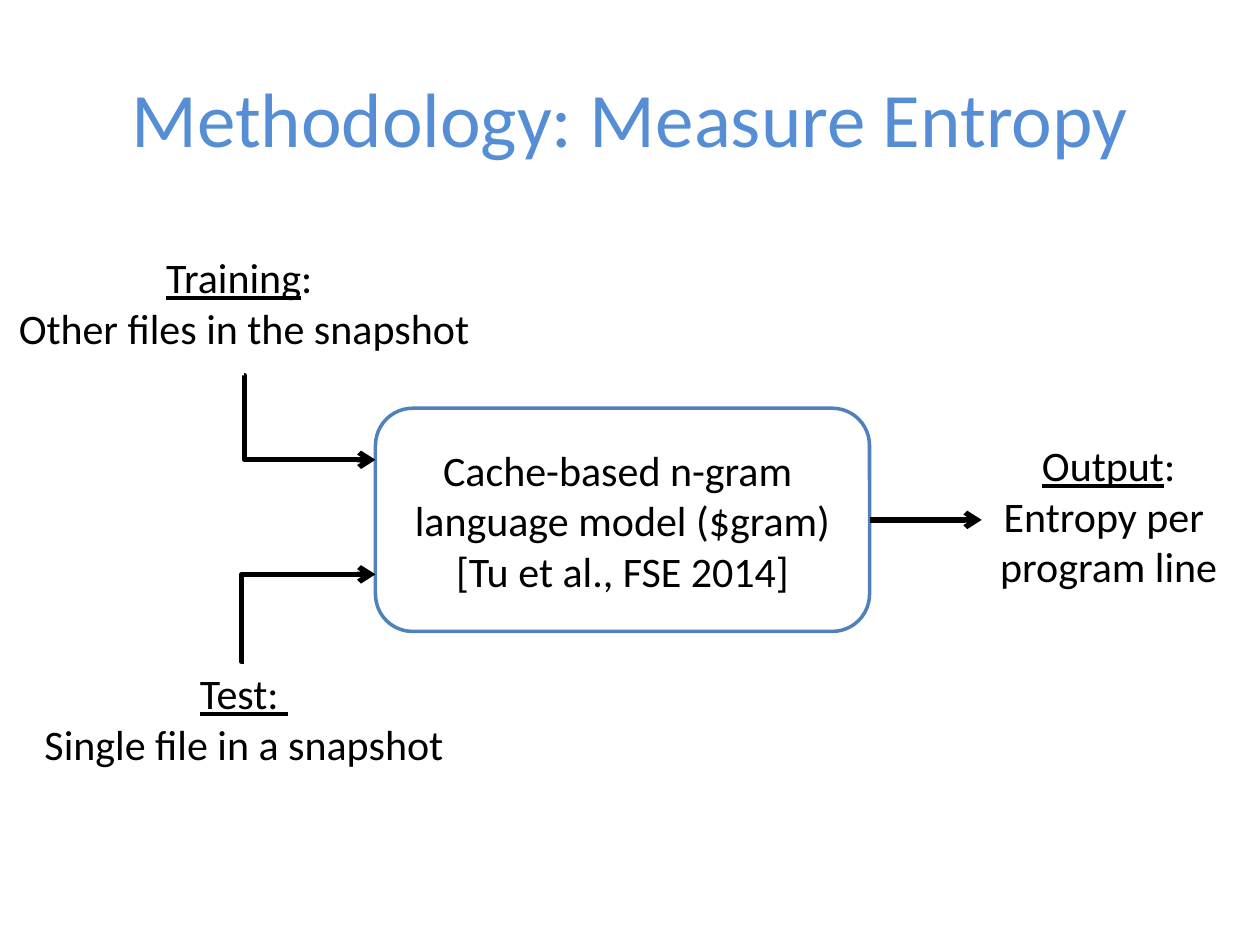
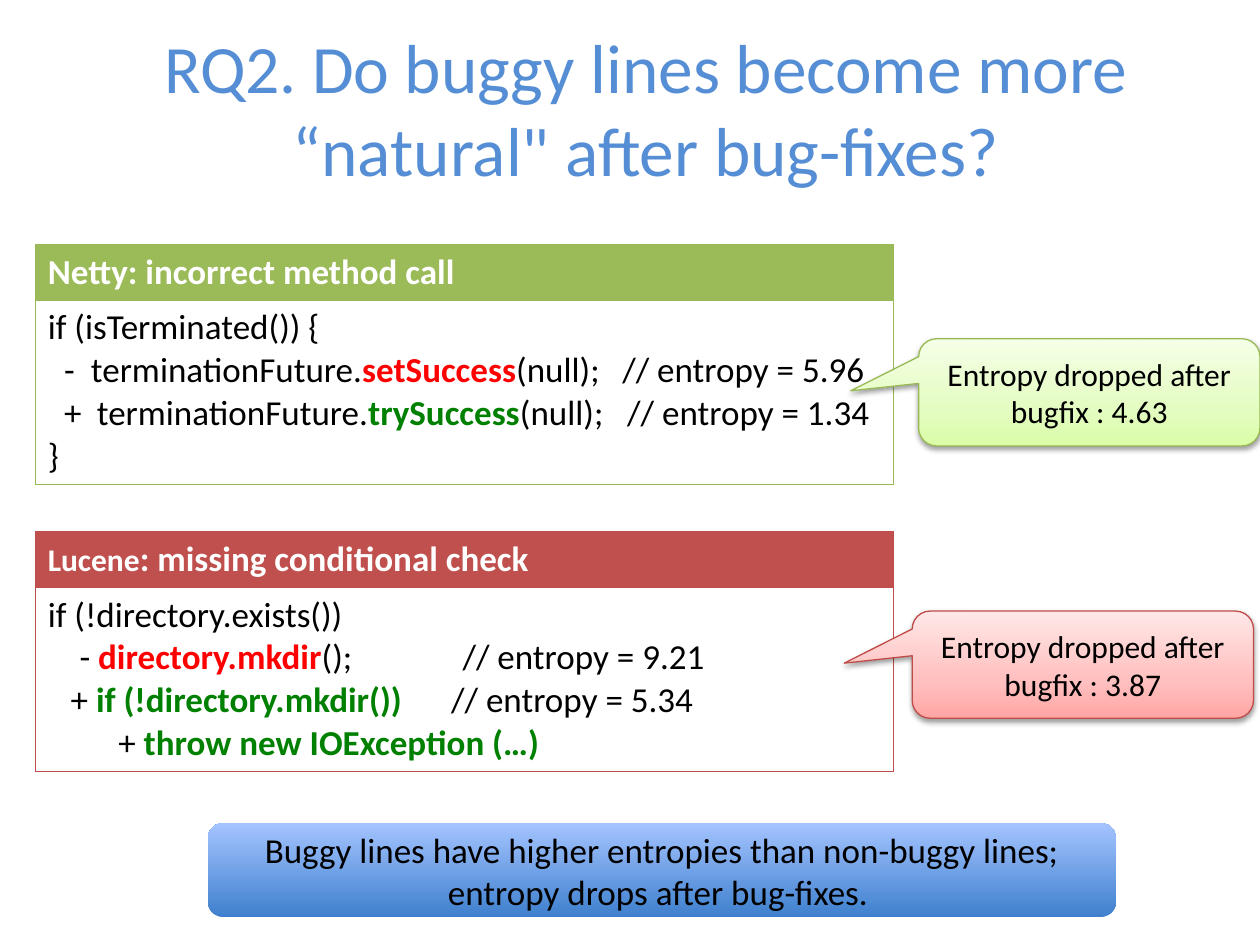
"""Builds two slides about measuring the entropy of program code."""
import copy
from collections import namedtuple
from dataclasses import dataclass

import lxml.etree
import pptx
import pptx.dml.color
import pptx.enum.shapes
import pptx.enum.text
import pptx.oxml
import pptx.oxml.ns
import pptx.util

Cm = pptx.util.Cm
Box = namedtuple("Box", "left top width height")
SHAPES = pptx.enum.shapes.MSO_SHAPE
CONNECTORS = pptx.enum.shapes.MSO_CONNECTOR
ALIGN = pptx.enum.text.PP_ALIGN
ANCHOR = pptx.enum.text.MSO_ANCHOR


@dataclass(frozen=True)
class Theme:
    """Colours and type sizes shared by the slides."""
    font: str = "Calibri"
    ink: str = "000000"
    paper: str = "FFFFFF"
    title: str = "558ED5"
    outline: str = "4F81BD"
    removed: str = "FF0000"
    added: str = "008000"
    green: str = "9BBB59"
    green_line: str = "98B955"
    green_stops: tuple = ((0, "DAFDA7"), (0.35, "E4FCC2"), (1, "F5FFE7"))
    red: str = "C0504D"
    red_line: str = "BF4C48"
    red_stops: tuple = ((0, "FFA6A5"), (0.35, "FFC0BF"), (1, "FFE7E7"))
    blue_stops: tuple = ((0, "3F80CE"), (1, "A4C4FF"))
    title_size: float = 44
    long_title_size: float = 39.6
    title_lead_size: float = 38.7
    diagram_size: float = 24
    code_size: float = 20
    note_size: float = 18


THEME = Theme()
UNDERLINED = {"underline": True}
REMOVED = {"color": THEME.removed, "bold": True}
ADDED = {"color": THEME.added, "bold": True}


def rgb(value):
    """Turn a hex string into a colour."""
    return pptx.dml.color.RGBColor.from_string(value)


def lengths(values):
    """Turn centimetre numbers into lengths."""
    return [Cm(value) for value in values]


def inside(box, left, top, width, height):
    """Return a box placed relative to another one."""
    return Box(box.left + left, box.top + top, width, height)


def xml(tag, parent, **attributes):
    """Add a drawing element to a parent and return it."""
    return lxml.etree.SubElement(parent, pptx.oxml.ns.qn(tag), attributes)


def write(frame, paragraphs, align=ALIGN.CENTER, **base):
    """Fill a text frame; each paragraph is a list of (text, format) runs."""
    for index, runs in enumerate(paragraphs):
        paragraph = frame.add_paragraph() if index else frame.paragraphs[0]
        paragraph.alignment = align
        for text, changes in runs:
            run = paragraph.add_run()
            run.text = text
            values = {"name": THEME.font, "color": THEME.ink, **base, **changes}
            run.font.color.rgb = rgb(values.pop("color"))
            values["size"] = pptx.util.Pt(values["size"])
            for name, value in values.items():
                setattr(run.font, name, value)


def add_text(slide, box, paragraphs, wrap=True, anchor=ANCHOR.TOP, **base):
    """Add a centred text box."""
    shape = slide.shapes.add_textbox(*lengths(box))
    for name, value in {"word_wrap": wrap, "vertical_anchor": anchor}.items():
        setattr(shape.text_frame, name, value)
    write(shape.text_frame, paragraphs, **base)


def add_panel(slide, box, kind, paragraphs, size, line=None, width=0.75):
    """Add a flat shape with centred text."""
    shape = slide.shapes.add_shape(kind, *lengths(box))
    shape.shadow.inherit = False
    if line:
        shape.line.color.rgb = rgb(line)
        shape.line.width = pptx.util.Pt(width)
    else:
        shape.line.fill.background()
    frame = shape.text_frame
    for name, value in {"word_wrap": True, "vertical_anchor": ANCHOR.MIDDLE}.items():
        setattr(frame, name, value)
    write(frame, paragraphs, size=size)
    return shape


def fill_gradient(shape, stops):
    """Fill a shape from bottom to top with colour stops."""
    shape.fill.gradient()
    shape.fill.gradient_angle = 90
    stop_list = shape.element.find(".//" + pptx.oxml.ns.qn("a:gsLst"))
    while len(stop_list) < len(stops):
        stop_list.append(copy.deepcopy(stop_list[0]))
    for stop, (position, color) in zip(shape.fill.gradient_stops, stops):
        stop.position = position
        stop.color.rgb = rgb(color)


def add_arrow(slide, start, end, bend=None):
    """Add an arrow, bent at a fraction of its width if one is given."""
    kind = CONNECTORS.STRAIGHT if bend is None else CONNECTORS.ELBOW
    arrow = slide.shapes.add_connector(kind, *lengths(start + end))
    arrow.line.color.rgb = rgb(THEME.ink)
    arrow.line.width = pptx.util.Pt(3)
    properties = arrow.element.spPr
    xml("a:tailEnd", properties.find(pptx.oxml.ns.qn("a:ln")), type="arrow")
    xml("a:effectLst", properties)
    if bend is not None:
        adjustments = properties.find(".//" + pptx.oxml.ns.qn("a:avLst"))
        xml("a:gd", adjustments, name="adj1", fmla=f"val {round(bend * 100000)}")


def add_title(slide, box, runs):
    """Add the slide title."""
    add_text(slide, box, [runs], anchor=ANCHOR.MIDDLE,
             size=THEME.title_size, color=THEME.title)


def add_pipeline(slide, box):
    """Add the model with its two inputs and its output."""
    model = inside(box, 7.49, 3.28, 9.96, 4.5)
    training = inside(box, 0, 0, 9.68, 2.31)
    test = inside(box, 0, 8.39, 9.68, 2.31)
    output = inside(box, 18.31, 3.79, 7.92, 3.33)

    shape = add_panel(
        slide, model, SHAPES.ROUNDED_RECTANGLE,
        [[("Cache-based n-gram ", {})],
         [("language model ($gram) [Tu et al., FSE 2014]", {})]],
        THEME.diagram_size, THEME.outline, 2)
    shape.fill.solid()
    shape.fill.fore_color.rgb = rgb(THEME.paper)

    labels = (
        (test, True, [[("Test: ", UNDERLINED)], [("Single file in a snapshot", {})]]),
        (training, False, [[("Training", UNDERLINED), (": ", {})],
                           [("Other files in the snapshot", {})]]),
        (output, True, [[("Output", UNDERLINED), (":", {})],
                        [("Entropy per ", {})], [("program line", {})]]),
    )
    for label, wrap, paragraphs in labels:
        add_text(slide, label, paragraphs, wrap, size=THEME.diagram_size)

    input_x = training.left + training.width / 2
    middle = model.top + model.height / 2
    right = model.left + model.width
    add_arrow(slide, (input_x, training.top + 2.62),
              (model.left, model.top + 1.04), 0.003)
    add_arrow(slide, (input_x, test.top), (model.left, model.top + 3.35), -0.021)
    add_arrow(slide, (right, middle), (right + 2.26, middle))


def style_cell(cell, fill, line):
    """Give a cell its fill and a thin border on every side."""
    cell.fill.solid()
    cell.fill.fore_color.rgb = rgb(fill)
    properties = cell._tc.get_or_add_tcPr()
    for index, side in enumerate("LRTB"):
        border = pptx.oxml.parse_xml(
            f'<a:ln{side} {pptx.oxml.ns.nsdecls("a")} w="9525"><a:solidFill>'
            f'<a:srgbClr val="{line}"/></a:solidFill></a:ln{side}>')
        properties.insert(index, border)


def add_code_table(slide, box, heading, code, fill, line):
    """Add a headed code listing; each code line is (tab stops, runs)."""
    table = slide.shapes.add_table(2, 1, *lengths(box)).table
    table.horz_banding = False
    header_height = 1.12
    for row, height in zip(table.rows, (header_height, box.height - header_height)):
        row.height = Cm(height)
    header, body = table.cell(0, 0), table.cell(1, 0)
    style_cell(header, fill, line)
    style_cell(body, THEME.paper, line)
    write(header.text_frame, [heading], ALIGN.LEFT,
          size=THEME.code_size, color=THEME.paper, bold=True)
    write(body.text_frame, [runs for _, runs in code], ALIGN.LEFT,
          size=THEME.code_size, bold=False)
    for paragraph, (stops, _) in zip(body.text_frame.paragraphs, code):
        if stops:
            tabs = xml("a:tabLst", paragraph._p.get_or_add_pPr())
            for stop in stops:
                xml("a:tab", tabs, pos=str(Cm(stop)), algn="l")


def add_callout(slide, box, text, stops, line):
    """Add a shaded speech bubble pointing left."""
    shape = add_panel(slide, box, SHAPES.ROUNDED_RECTANGULAR_CALLOUT,
                      [[(text, {})]], THEME.note_size, line)
    for index, value in enumerate((-0.699, -0.014, 0.167)):
        shape.adjustments[index] = value
    fill_gradient(shape, stops)
    effects = shape.element.spPr.find(pptx.oxml.ns.qn("a:effectLst"))
    shadow = xml("a:outerShdw", effects, blurRad="40000", dist="20000",
                 dir="5400000", rotWithShape="0")
    xml("a:alpha", xml("a:srgbClr", shadow, val=THEME.ink), val="38000")


def add_fix_example(slide, box, heading, code, drop, offset, colors):
    """Add a code listing with the entropy drop beside it."""
    fill, line, stops = colors
    add_code_table(slide, box, heading, code, fill, line)
    add_callout(slide, inside(box, *offset, 6.88, 2.16),
                f"Entropy dropped after bugfix : {drop}", stops, line)


def add_conclusion(slide, box):
    """Add the banner with the finding."""
    text = ("Buggy lines have higher entropies than non-buggy lines; "
            "entropy drops after bug-fixes. ")
    shape = add_panel(slide, box, SHAPES.ROUNDED_RECTANGLE,
                      [[(text, {})]], THEME.code_size)
    fill_gradient(shape, THEME.blue_stops)


def build_methodology(slide):
    """Build the slide on measuring entropy."""
    add_title(slide, Box(1.27, 0.76, 22.86, 3.18),
              [("Methodology: Measure Entropy", {})])
    add_pipeline(slide, Box(0.08, 4.95, 26.23, 10.7))


def build_bug_fixes(slide):
    """Build the slide on entropy before and after fixes."""
    add_title(slide, Box(1.27, 0.43, 23.5, 3.48),
              [("RQ2. Do ", {"size": THEME.title_lead_size}),
               ("buggy lines become more “natural\" after bug-fixes?",
                {"size": THEME.long_title_size})])
    method_call = [
        ((), [("if (isTerminated()) {", {})]),
        ((0.33, 0.87, 11.58), [("\t-\tterminationFuture.", {}), ("setSuccess", REMOVED),
                               ("(null);\t// entropy = 5.96", {})]),
        ((0.33, 0.99, 11.68), [("\t+\tterminationFuture.", {}), ("trySuccess", ADDED),
                               ("(null);\t// entropy = 1.34", {})]),
        ((), [("}", {})]),
    ]
    missing_check = [
        ((), [("if (!directory.exists())", {})]),
        ((0.64, 8.36), [("\t- ", {}), ("directory.mkdir", REMOVED),
                        ("();\t// entropy = 9.21", {})]),
        ((0.46, 8.13), [("\t+ ", {}), ("if (!directory.mkdir())", ADDED),
                        ("\t// entropy = 5.34", {})]),
        ((1.42,), [("\t+ ", {}), ("throw new IOException (…)", ADDED)]),
    ]
    add_fix_example(slide, Box(0.71, 4.93, 17.3, 4.83),
                    [("Netty: incorrect method call", {})], method_call, "4.63",
                    (17.81, 1.9), (THEME.green, THEME.green_line, THEME.green_stops))
    add_fix_example(slide, Box(0.71, 10.72, 17.3, 4.83),
                    [("Lucene", {"size": THEME.note_size}),
                     (": missing conditional check", {})], missing_check, "3.87",
                    (17.68, 1.6), (THEME.red, THEME.red_line, THEME.red_stops))
    add_conclusion(slide, Box(4.19, 16.59, 18.31, 1.9))


def main():
    """Build and save the presentation."""
    presentation = pptx.Presentation()
    for name, value in {"slide_width": 25.4, "slide_height": 19.05}.items():
        setattr(presentation, name, Cm(value))
    for build in (build_methodology, build_bug_fixes):
        build(presentation.slides.add_slide(presentation.slide_layouts[6]))
    presentation.save("out.pptx")


if __name__ == "__main__":
    main()
